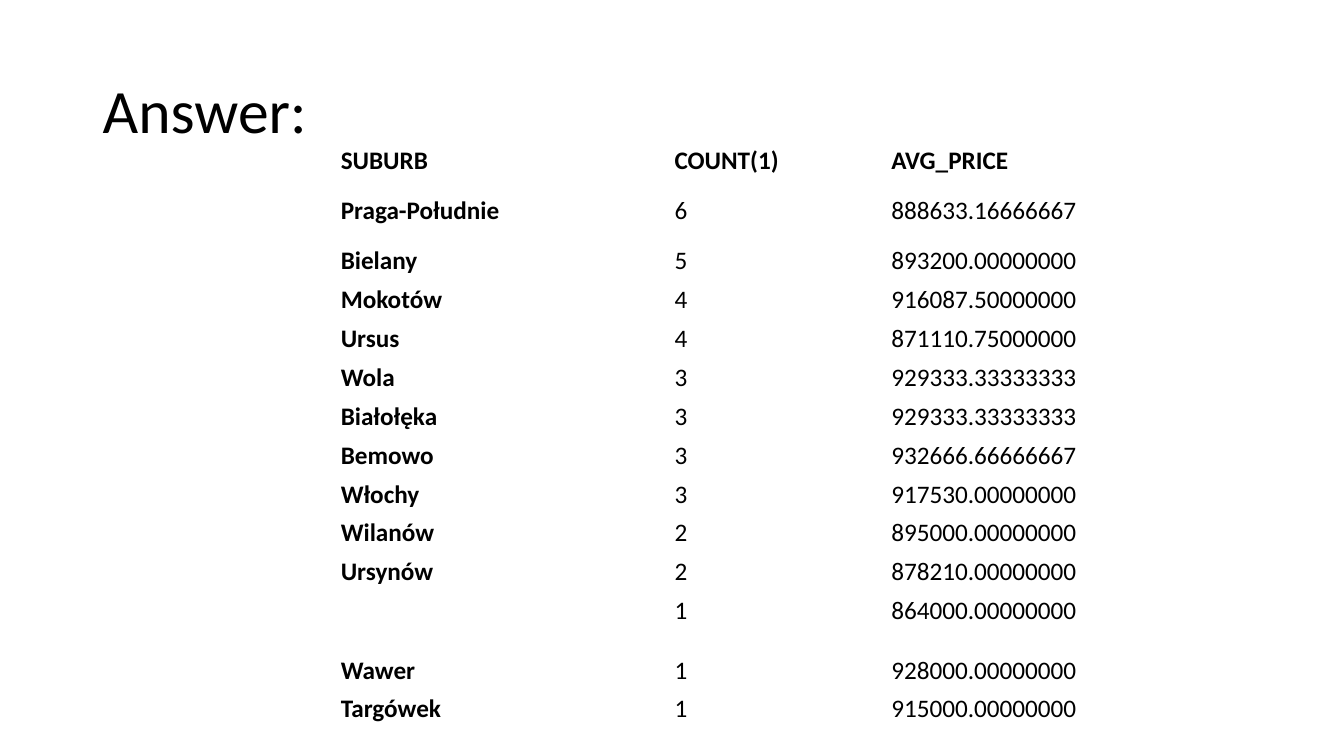
from pptx import Presentation
from pptx.dml.color import RGBColor
from pptx.enum import text
from pptx.util import Inches, Pt

FONT = "Calibri"
BLACK = "000000"
HEADINGS = ("SUBURB", "COUNT(1)", "AVG_PRICE")
SUBURBS = [
    ("Praga-Południe", "6", "888633.16666667"),
    ("Bielany", "5", "893200.00000000"),
    ("Mokotów", "4", "916087.50000000"),
    ("Ursus", "4", "871110.75000000"),
    ("Wola", "3", "929333.33333333"),
    ("Białołęka", "3", "929333.33333333"),
    ("Bemowo", "3", "932666.66666667"),
    ("Włochy", "3", "917530.00000000"),
    ("Wilanów", "2", "895000.00000000"),
    ("Ursynów", "2", "878210.00000000"),
    ("", "1", "864000.00000000"),
    ("Wawer", "1", "928000.00000000"),
    ("Targówek", "1", "915000.00000000"),
]
COLUMN_WIDTHS = (3.31, 2.15, 3.58)
TALL_ROW = 0.5
UNNAMED_ROW = 0.59
PLAIN_ROW = 4.24 / 11


def color(value):
    return RGBColor.from_string(value)


def style(font, size, bold=False):
    font.name = FONT
    font.size = Pt(size)
    font.bold = bold
    font.color.rgb = color(BLACK)


def add_title(page, left, top, width, height):
    box = page.shapes.add_textbox(Inches(left), Inches(top), Inches(width), Inches(height))
    frame = box.text_frame
    frame.word_wrap = True
    frame.vertical_anchor = text.MSO_ANCHOR.MIDDLE
    frame.text = "Answer:"
    para = frame.paragraphs[0]
    para.line_spacing = 0.9
    style(para.runs[0].font, 44)


def row_height(index, values):
    """Heading and first suburb are tall; the unnamed suburb is taller."""
    if index < 2:
        return TALL_ROW
    return PLAIN_ROW if values[0] else UNNAMED_ROW


def fill_cell(cell, value, bold):
    cell.fill.background()
    cell.margin_left = cell.margin_right = Inches(0.01)
    cell.margin_top = cell.margin_bottom = Inches(0.01)
    cell.text_frame.text = value
    para = cell.text_frame.paragraphs[0]
    style(para.font, 18, bold)
    for span in para.runs:
        style(span.font, 18, bold)


def add_suburb_table(page, left, top):
    rows = [HEADINGS, *SUBURBS]
    heights = [row_height(index, values) for index, values in enumerate(rows)]
    table = page.shapes.add_table(
        len(rows), len(HEADINGS), Inches(left), Inches(top),
        Inches(sum(COLUMN_WIDTHS)), Inches(sum(heights))).table
    table.first_row = False
    table.horz_banding = False
    for column, width in zip(table.columns, COLUMN_WIDTHS):
        column.width = Inches(width)
    for index, values in enumerate(rows):
        table.rows[index].height = Inches(heights[index])
        for position, value in enumerate(values):
            fill_cell(table.cell(index, position), value, index == 0 or position == 0)


def main():
    deck = Presentation()
    deck.slide_width = Inches(13.33)
    deck.slide_height = Inches(7.5)
    page = deck.slides.add_slide(deck.slide_layouts[6])
    add_title(page, 0.92, 0.4, 11.5, 1.45)
    add_suburb_table(page, 3.37, 1.43)
    deck.save("out.pptx")


if __name__ == "__main__":
    main()
